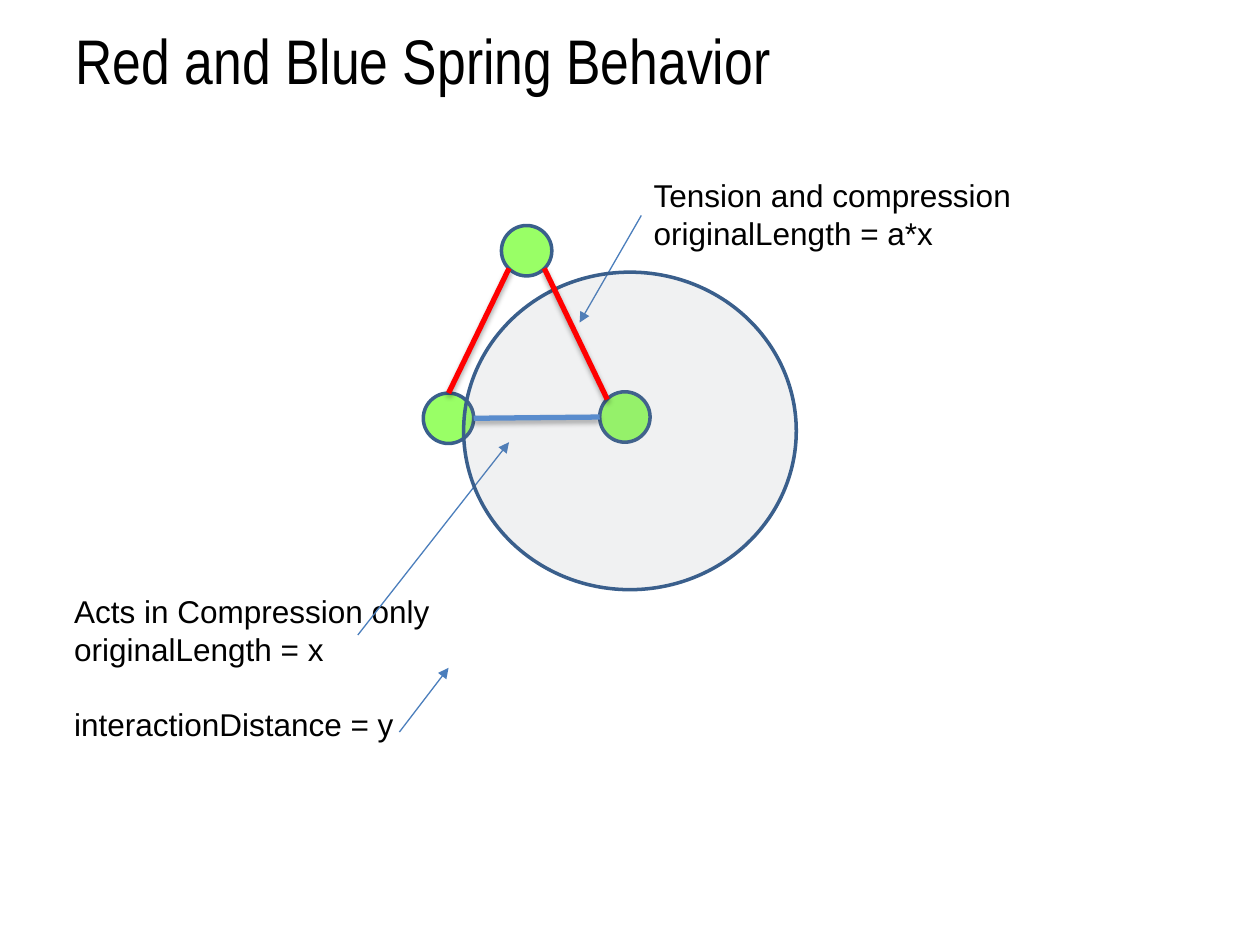
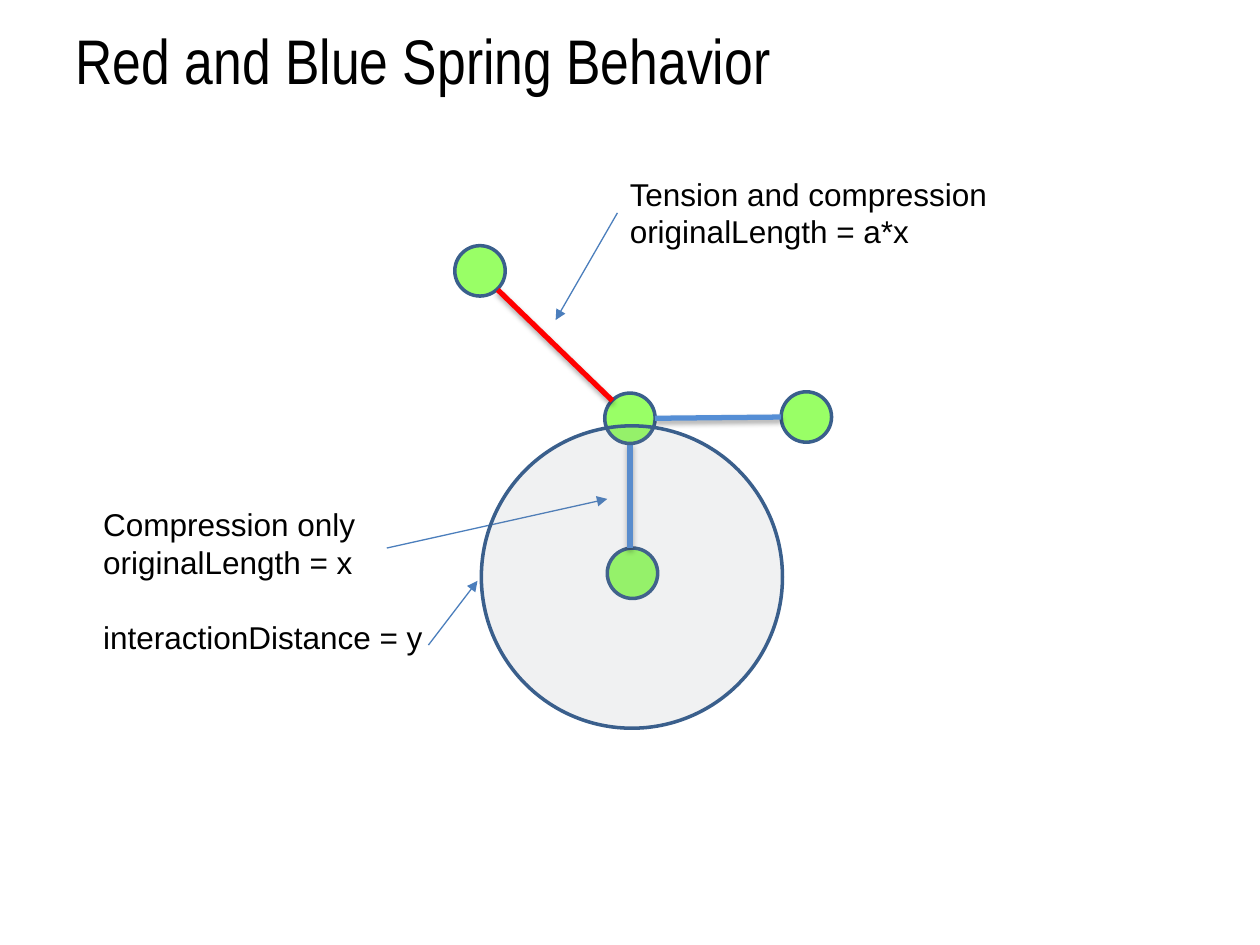
from dataclasses import dataclass

from lxml import etree
from pptx import Presentation
from pptx.dml.color import RGBColor
from pptx.enum import shapes, text
from pptx.oxml.ns import qn
from pptx.util import Inches, Pt


@dataclass(frozen=True)
class Theme:
    ink: str = "000000"
    paper: str = "FFFFFF"
    node: str = "99FF66"
    outline: str = "3A5F8C"
    range_fill: str = "7D838F"
    range_opacity: int = 11
    red: str = "FF0000"
    blue: str = "558ED5"
    pointer: str = "4B7EBC"
    title_font: str = "Arial Narrow"
    label_font: str = "Arial"
    title_size: int = 36
    label_size: int = 18
    label_pitch: float = 21.5
    outline_width: float = 2
    spring_width: float = 3
    pointer_width: float = 0.75
    node_size: float = 0.4


def apply(target, **values):
    for name, value in values.items():
        setattr(target, name, value)


def add_xml(parent, tag, **attributes):
    return etree.SubElement(parent, qn(tag), {key: str(value) for key, value in attributes.items()})


class SpringDeck:
    """Draws spring diagrams in one style on the current slide."""

    def __init__(self, theme):
        self.theme = theme
        self.presentation = Presentation()
        apply(self.presentation, slide_width=Inches(10), slide_height=Inches(7.5))
        self.slide = None

    def start(self, title):
        theme = self.theme
        self.slide = self.presentation.slides.add_slide(self.presentation.slide_layouts[5])
        background = self.slide.background.fill
        background.solid()
        background.fore_color.rgb = RGBColor.from_string(theme.paper)
        shape = self.slide.shapes.title
        apply(shape, left=Inches(0.5), top=Inches(0.08), width=Inches(9), height=Inches(0.78))
        apply(shape.text_frame, text=title, word_wrap=True,
              vertical_anchor=text.MSO_ANCHOR.MIDDLE, auto_size=text.MSO_AUTO_SIZE.NONE)
        paragraph = shape.text_frame.paragraphs[0]
        paragraph.alignment = text.PP_ALIGN.LEFT
        self.style_font(paragraph, theme.title_font, theme.title_size)

    def style_font(self, paragraph, name, size):
        for run in paragraph.runs:
            apply(run.font, name=name, size=Pt(size), bold=False)
            run.font.color.rgb = RGBColor.from_string(self.theme.ink)

    def style_line(self, line, color, width):
        line.color.rgb = RGBColor.from_string(color)
        line.width = Pt(width)

    def ellipse(self, left, top, width, height, color):
        shape = self.slide.shapes.add_shape(
            shapes.MSO_SHAPE.OVAL, Inches(left), Inches(top), Inches(width), Inches(height))
        shape.shadow.inherit = False
        shape.fill.solid()
        shape.fill.fore_color.rgb = RGBColor.from_string(color)
        self.style_line(shape.line, self.theme.outline, self.theme.outline_width)
        return shape

    def node(self, left, top):
        size = self.theme.node_size
        self.ellipse(left, top, size, size, self.theme.node)

    def interaction_range(self, left, top, width, height):
        shape = self.ellipse(left, top, width, height, self.theme.range_fill)
        color = shape.element.spPr.find(qn("a:solidFill")).find(qn("a:srgbClr"))
        add_xml(color, "a:alpha", val=self.theme.range_opacity * 1000)

    def connector(self, start, end, color, width):
        points = [Inches(value) for value in (*start, *end)]
        connector = self.slide.shapes.add_connector(shapes.MSO_CONNECTOR.STRAIGHT, *points)
        self.style_line(connector.line, color, width)
        properties = connector.element.spPr
        return properties.find(qn("a:ln")), add_xml(properties, "a:effectLst")

    def spring(self, start, end, color):
        line, effects = self.connector(start, end, color, self.theme.spring_width)
        shadow = add_xml(effects, "a:outerShdw", blurRad=Pt(3.1), dist=Pt(1.8),
                         dir=90 * 60000, rotWithShape=0)
        shade = add_xml(shadow, "a:srgbClr", val=self.theme.ink)
        add_xml(shade, "a:alpha", val=35000)

    def pointer(self, start, end):
        line, effects = self.connector(start, end, self.theme.pointer, self.theme.pointer_width)
        add_xml(line, "a:tailEnd", type="triangle")

    def label(self, left, top, height, *blocks):
        theme = self.theme
        box = self.slide.shapes.add_textbox(Inches(left), Inches(top), Inches(3.06), Inches(height))
        frame = box.text_frame
        apply(frame, word_wrap=True, text="\n".join(line for block in blocks for line in block))
        openers = [block[0] for block in blocks[1:]]
        for paragraph in frame.paragraphs:
            gap = theme.label_pitch if paragraph.text in openers else 0
            apply(paragraph, line_spacing=Pt(theme.label_pitch), space_before=Pt(gap),
                  alignment=text.PP_ALIGN.LEFT)
            self.style_font(paragraph, theme.label_font, theme.label_size)

    def tension_note(self, left, top, start, end):
        self.label(left, top, 0.71, ("Tension and compression", "originalLength = a*x"))
        self.pointer(start, end)

    def compression_note(self, left, top, heading, start, end):
        self.label(left, top, 1.31, (heading, "originalLength = x"), ("interactionDistance = y",))
        self.pointer(start, end)


theme = Theme()
deck = SpringDeck(theme)
TITLE = "Red and Blue Spring Behavior"

deck.start(TITLE)
for corner in ((3.98, 1.79), (4.76, 3.11), (3.36, 3.12)):
    deck.node(*corner)
deck.spring((4.04, 2.13), (3.56, 3.12), theme.red)
deck.spring((3.76, 3.32), (4.76, 3.31), theme.blue)
deck.tension_note(5.09, 1.35, (5.09, 1.71), (4.6, 2.56))
deck.compression_note(0.49, 4.65, "Acts in Compression only", (2.84, 5.04), (4.04, 3.51))
deck.interaction_range(3.68, 2.16, 2.64, 2.52)
deck.pointer((3.17, 5.81), (3.56, 5.3))
deck.spring((4.32, 2.13), (4.82, 3.17), theme.red)

deck.start(TITLE)
for corner in ((3.61, 1.95), (4.82, 4.35), (6.2, 3.11)):
    deck.node(*corner)
deck.spring((5, 3.52), (5, 4.35), theme.blue)
deck.node(4.8, 3.12)
deck.spring((3.95, 2.3), (4.86, 3.18), theme.red)
deck.spring((5.2, 3.32), (6.2, 3.31), theme.blue)
deck.tension_note(4.9, 1.34, (4.9, 1.69), (4.41, 2.54))
deck.compression_note(0.72, 3.96, "Compression only", (3.07, 4.35), (4.82, 3.96))
deck.interaction_range(3.82, 3.38, 2.39, 2.4)
deck.pointer((3.4, 5.12), (3.79, 4.61))

deck.presentation.save("out.pptx")
